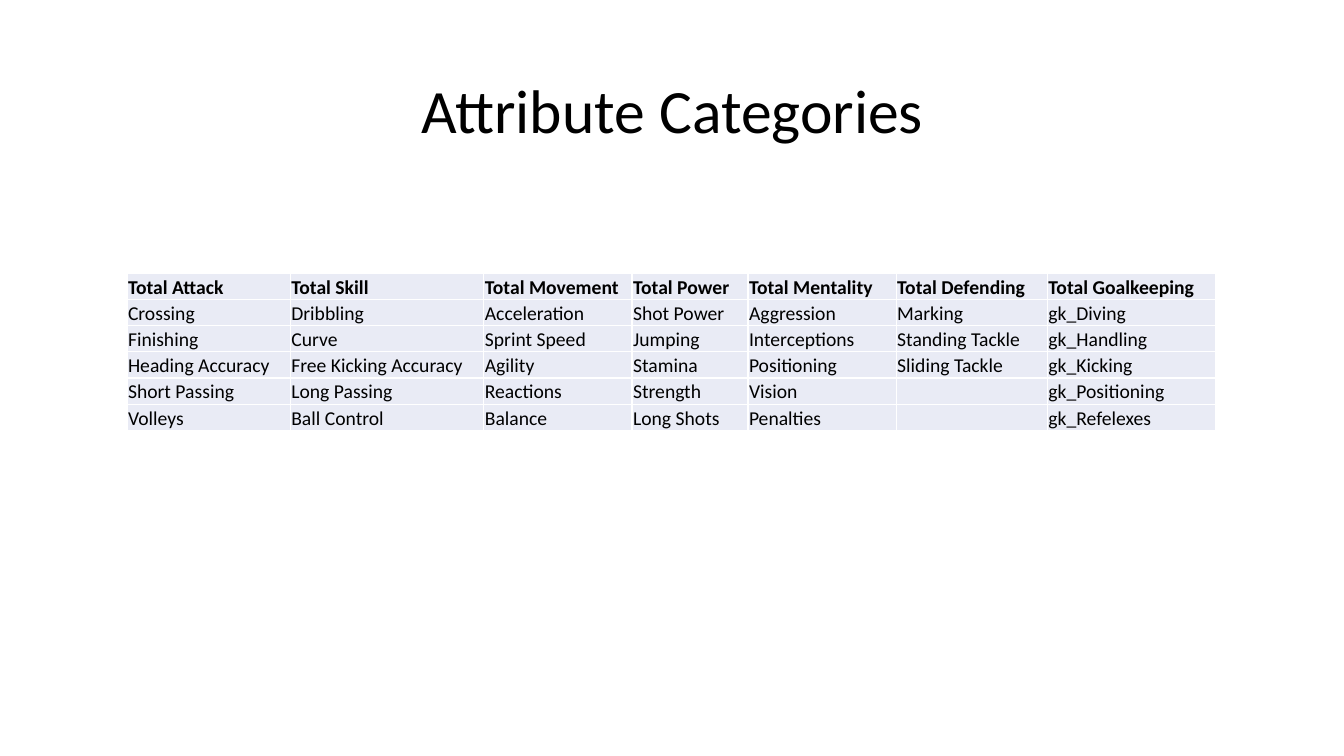
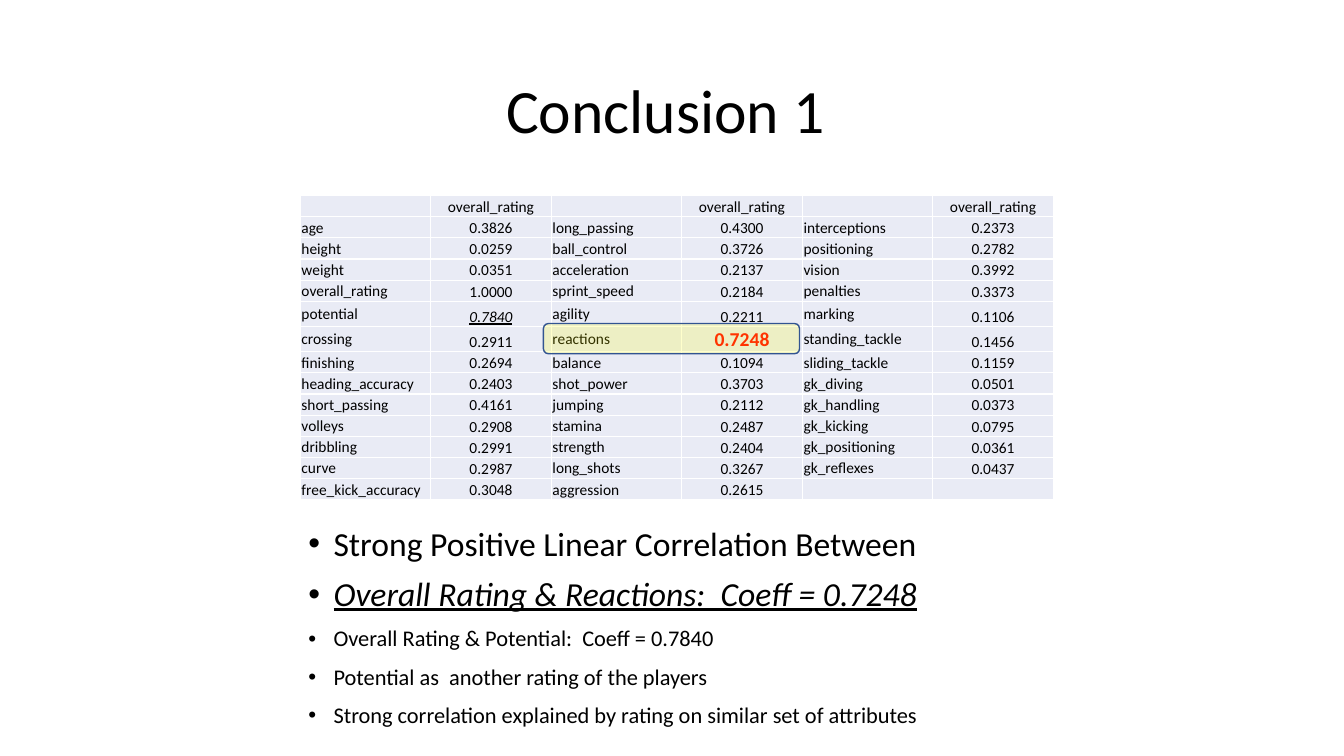
from itertools import chain, zip_longest

from lxml.etree import SubElement
from pptx import Presentation
from pptx.dml.color import RGBColor
from pptx.enum.shapes import MSO_SHAPE
from pptx.enum.text import MSO_ANCHOR, PP_ALIGN
from pptx.oxml.ns import qn
from pptx.util import Emu, Pt

FONT = "Calibri"
BLACK, WHITE, RED = "000000", "FFFFFF", "FF0000"
CELL_FILL, HIGHLIGHT, HIGHLIGHT_LINE = "E9EBF5", "FFFF00", "325491"

CATEGORIES = [
    ["Total Attack", "Crossing", "Finishing", "Heading Accuracy", "Short Passing", "Volleys"],
    ["Total Skill", "Dribbling", "Curve", "Free Kicking Accuracy", "Long Passing", "Ball Control"],
    ["Total Movement", "Acceleration", "Sprint Speed", "Agility", "Reactions", "Balance"],
    ["Total Power", "Shot Power", "Jumping", "Stamina", "Strength", "Long Shots"],
    ["Total Mentality", "Aggression", "Interceptions", "Positioning", "Vision", "Penalties"],
    ["Total Defending", "Marking", "Standing Tackle", "Sliding Tackle"],
    ["Total Goalkeeping", "gk_Diving", "gk_Handling", "gk_Kicking", "gk_Positioning", "gk_Refelexes"],
]
CORRELATIONS = [
    {"age": "0.3826", "height": "0.0259", "weight": "0.0351", "overall_rating": "1.0000",
     "potential": "0.7840", "crossing": "0.2911", "finishing": "0.2694",
     "heading_accuracy": "0.2403", "short_passing": "0.4161", "volleys": "0.2908",
     "dribbling": "0.2991", "curve": "0.2987", "free_kick_accuracy": "0.3048"},
    {"long_passing": "0.4300", "ball_control": "0.3726", "acceleration": "0.2137",
     "sprint_speed": "0.2184", "agility": "0.2211", "reactions": "0.7248", "balance": "0.1094",
     "shot_power": "0.3703", "jumping": "0.2112", "stamina": "0.2487", "strength": "0.2404",
     "long_shots": "0.3267", "aggression": "0.2615"},
    {"interceptions": "0.2373", "positioning": "0.2782", "vision": "0.3992",
     "penalties": "0.3373", "marking": "0.1106", "standing_tackle": "0.1456",
     "sliding_tackle": "0.1159", "gk_diving": "0.0501", "gk_handling": "0.0373",
     "gk_kicking": "0.0795", "gk_positioning": "0.0361", "gk_reflexes": "0.0437"},
]
FINDINGS = [
    ("Strong Positive Linear Correlation Between", 24, False),
    ("Overall Rating & Reactions:  Coeff = 0.7248", 24, True),
    ("Overall Rating & Potential:  Coeff = 0.7840", 16, False),
    ("Potential as  another rating of the players", 16, False),
    ("Strong correlation explained by rating on similar set of attributes", 16, False),
]


def px(length):
    """Turn px, at 100 to the inch, into EMU."""
    return Emu(length * 9144)


def color(hex_string):
    """Turn a hex string into a colour."""
    return RGBColor.from_string(hex_string)


def style(paragraph, size, hex_string=BLACK, bold=False, emphasis=False):
    """Set the font of a paragraph; emphasis is italic and underlined."""
    font = paragraph.font
    font.name, font.size, font.bold = FONT, Pt(size), bold
    font.italic = font.underline = emphasis
    font.color.rgb = color(hex_string)


def add_titled_slide(presentation, title):
    """Add a title-only slide with its title in place."""
    slide = presentation.slides.add_slide(presentation.slide_layouts[5])
    shape = slide.shapes.title
    shape.left, shape.top, shape.width, shape.height = map(px, (92, 40, 1150, 145))
    frame = shape.text_frame
    frame.text = title
    frame.vertical_anchor = MSO_ANCHOR.MIDDLE
    paragraph = frame.paragraphs[0]
    paragraph.alignment = PP_ALIGN.CENTER
    paragraph.line_spacing = 0.9
    style(paragraph, 44)
    return slide


def format_cell(cell):
    """Give a cell its white borders, fill and narrow margins."""
    properties = cell._tc.get_or_add_tcPr()
    for side in ("a:lnL", "a:lnR", "a:lnT", "a:lnB"):
        line = SubElement(properties, qn(side), w=str(Pt(1)))
        SubElement(SubElement(line, qn("a:solidFill")), qn("a:srgbClr"), val=WHITE)
    cell.fill.solid()
    cell.fill.fore_color.rgb = color(CELL_FILL)
    cell.margin_left = cell.margin_right = cell.margin_top = px(1)
    cell.margin_bottom = 0
    cell.vertical_anchor = MSO_ANCHOR.BOTTOM


def add_grid(slide, left, top, widths, heights, rows, size):
    """Add a table of texts and return it."""
    table = slide.shapes.add_table(
        len(heights), len(widths), px(left), px(top), px(sum(widths)), px(sum(heights))
    ).table
    table.first_row = table.horz_banding = False
    for column, width in zip(table.columns, widths):
        column.width = px(width)
    for row, height, texts in zip(table.rows, heights, rows):
        row.height = px(height)
        for cell, text in zip(row.cells, texts):
            format_cell(cell)
            cell.text = text
            style(cell.text_frame.paragraphs[0], size)
    return table


def add_bullets(slide, left, top, width, height, items):
    """Add a bulleted list of (text, size, emphasis) items."""
    frame = slide.shapes.add_textbox(px(left), px(top), px(width), px(height)).text_frame
    frame.word_wrap = True
    for index, (text, size, emphasis) in enumerate(items):
        paragraph = frame.add_paragraph() if index else frame.paragraphs[0]
        paragraph.text = text
        paragraph.line_spacing = 0.9
        paragraph.space_before = Pt(10)
        properties = paragraph._p.get_or_add_pPr()
        properties.set("marL", str(px(25)))
        properties.set("indent", str(px(-25)))
        SubElement(properties, qn("a:buFont"), typeface="Arial")
        SubElement(properties, qn("a:buChar"), char="•")
        style(paragraph, size, emphasis=emphasis)


def add_highlight(slide, left, top, width, height):
    """Add a translucent rounded frame."""
    shape = slide.shapes.add_shape(
        MSO_SHAPE.ROUNDED_RECTANGLE, px(left), px(top), px(width), px(height)
    )
    shape.shadow.inherit = False
    shape.fill.solid()
    shape.fill.fore_color.rgb = color(HIGHLIGHT)
    fill_color = shape.fill._xPr.find(qn("a:solidFill")).find(qn("a:srgbClr"))
    SubElement(fill_color, qn("a:alpha"), val="20000")
    shape.line.color.rgb = color(HIGHLIGHT_LINE)
    shape.line.width = Pt(1)


def build_categories(presentation):
    """Build the slide of attribute categories."""
    slide = add_titled_slide(presentation, "Attribute Categories")
    widths = [162, 192, 147, 115, 147, 150, 167]
    rows = list(zip_longest(*CATEGORIES, fillvalue=""))
    table = add_grid(slide, 126, 271, widths, [26] * len(rows), rows, 14)
    for cell in table.rows[0].cells:
        cell.text_frame.paragraphs[0].font.bold = True


def build_conclusion(presentation):
    """Build the slide of correlations with the overall rating."""
    slide = add_titled_slide(presentation, "Conclusion 1 ")
    add_bullets(slide, 296, 518, 825, 215, FINDINGS)
    blocks = [[("", "overall_rating"), *block.items()] for block in CORRELATIONS]
    rows = [list(chain(*pairs)) for pairs in zip_longest(*blocks, fillvalue=("", ""))]
    heights = [25 if "potential" in row or "reactions" in row else 21 for row in rows]
    table = add_grid(slide, 298, 194, [129, 120] * len(blocks), heights, rows, 11)
    for row in table.rows:
        for index, cell in enumerate(row.cells):
            if index % 2:
                cell.text_frame.paragraphs[0].alignment = PP_ALIGN.CENTER
            else:
                cell.vertical_anchor = MSO_ANCHOR.MIDDLE
    style(table.cell(5, 1).text_frame.paragraphs[0], 11, emphasis=True)
    style(table.cell(6, 3).text_frame.paragraphs[0], 14, RED, bold=True)
    add_highlight(slide, 539, 321, 254, 30)


def main():
    """Build and save the presentation."""
    presentation = Presentation()
    presentation.slide_width, presentation.slide_height = px(1333), px(750)
    build_categories(presentation)
    build_conclusion(presentation)
    presentation.save("out.pptx")


if __name__ == "__main__":
    main()
